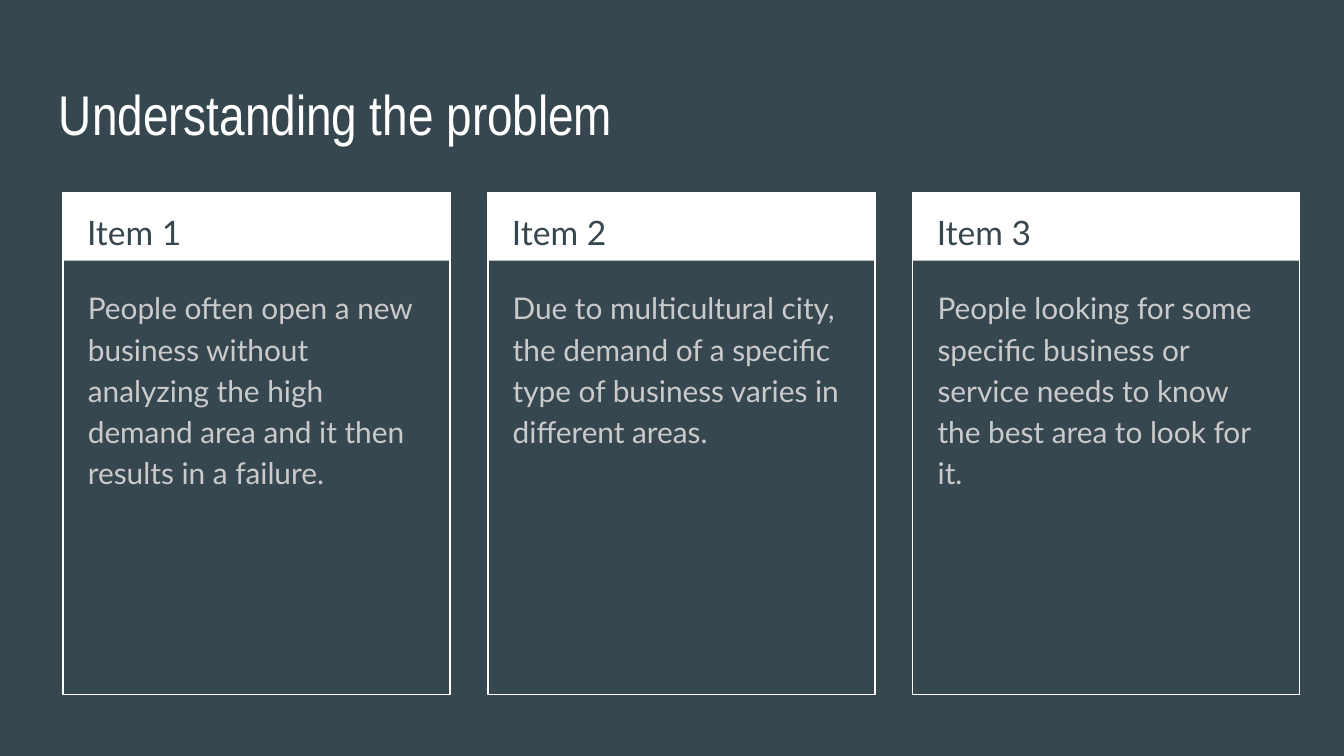
from dataclasses import dataclass

from pptx import Presentation
from pptx.dml.color import RGBColor
from pptx.enum import shapes, text
from pptx.util import Pt


@dataclass(frozen=True)
class Theme:
    """Hold the colours, fonts and type sizes of the deck."""

    slate: str = "37474F"
    white: str = "FFFFFF"
    silver: str = "CACACA"
    title_font: str = "Arial Narrow"
    body_font: str = "Lato"
    title_size: float = 30
    label_size: float = 18
    body_size: float = 16


THEME = Theme()
CARD_LEFT, CARD_TOP, CARD_PITCH = 33.8, 103, 227.6
CARD_WIDTH, CARD_HEIGHT, HEADER_HEIGHT = 207.3, 269, 36.6
CARDS = [
    ("Item 1", "People often open a new business without analyzing the high "
               "demand area and it then results in a failure."),
    ("Item 2", "Due to multicultural city, the demand of a specific type of "
               "business varies in different areas."),
    ("Item 3", "People looking for some specific business or service needs to "
               "know the best area to look for it."),
]


def apply_format(target, values):
    """Set each named attribute of the target."""
    for name, value in values.items():
        setattr(target, name, value)


def add_text(page, bounds, wording, font, size, color, layout=None):
    """Add a wrapped text box holding one paragraph."""
    box = page.shapes.add_textbox(*map(Pt, bounds))
    frame = box.text_frame
    apply_format(frame, {
        "word_wrap": True, "vertical_anchor": text.MSO_ANCHOR.TOP,
        **{f"margin_{side}": Pt(7.2) for side in ("left", "right", "top", "bottom")},
    })
    para = frame.paragraphs[0]
    apply_format(para, layout or {})
    span = para.add_run()
    span.text = wording
    apply_format(span.font, {"name": font, "size": Pt(size)})
    span.font.color.rgb = RGBColor.from_string(color)


def add_panel(page, bounds, fill=None, line=None):
    """Add a rectangle that is either filled or outlined."""
    panel = page.shapes.add_shape(shapes.MSO_SHAPE.RECTANGLE, *map(Pt, bounds))
    panel.shadow.inherit = False
    if fill:
        panel.fill.solid()
        panel.fill.fore_color.rgb = RGBColor.from_string(fill)
    else:
        panel.fill.background()
    if line:
        panel.line.color.rgb = RGBColor.from_string(line)
        panel.line.width = Pt(0.75)
    else:
        panel.line.fill.background()


def add_card(page, left, label, body):
    """Add an outlined card with a header band and body text."""
    add_panel(page, (left, CARD_TOP, CARD_WIDTH, HEADER_HEIGHT), fill=THEME.white)
    add_panel(page, (left, CARD_TOP, CARD_WIDTH, CARD_HEIGHT), line=THEME.white)
    add_text(page, (left + 5.8, CARD_TOP, 196.5, 36), label,
             THEME.body_font, THEME.label_size, THEME.slate, {"line_spacing": 1.15})
    add_text(page, (left + 6.2, CARD_TOP + 42.4, 195, 220.3), body,
             THEME.body_font, THEME.body_size, THEME.silver,
             {"line_spacing": 1.15, "space_after": Pt(16)})


def main():
    """Build the slide and save the deck."""
    deck = Presentation()
    apply_format(deck, {"slide_width": Pt(720), "slide_height": Pt(405)})
    page = deck.slides.add_slide(deck.slide_layouts[6])
    page.background.fill.solid()
    page.background.fill.fore_color.rgb = RGBColor.from_string(THEME.slate)
    add_text(page, (24.5, 35.3, 671, 45.4), "Understanding the problem",
             THEME.title_font, THEME.title_size, THEME.white)
    for index, (label, body) in enumerate(CARDS):
        add_card(page, CARD_LEFT + index * CARD_PITCH, label, body)
    deck.save("out.pptx")


if __name__ == "__main__":
    main()
